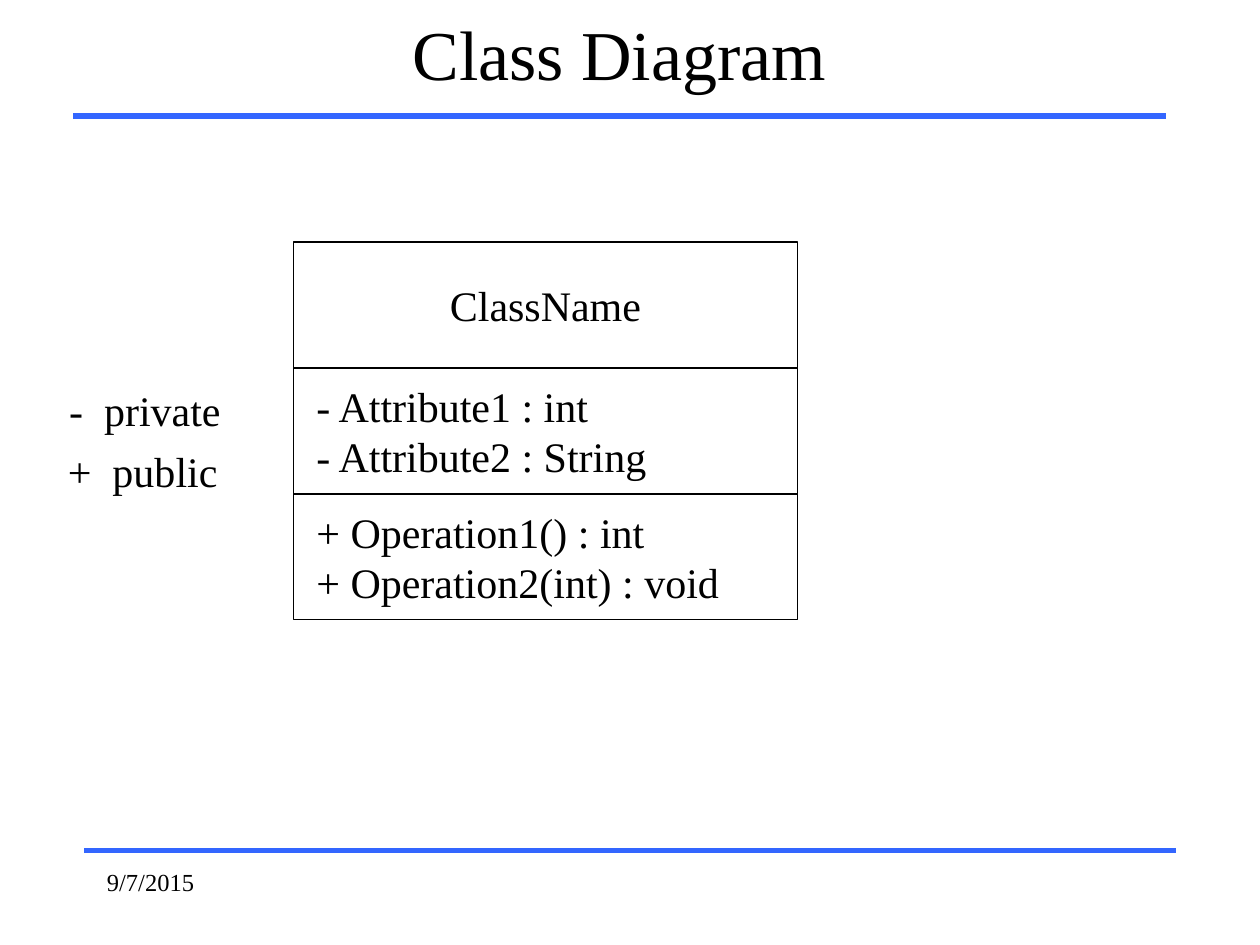
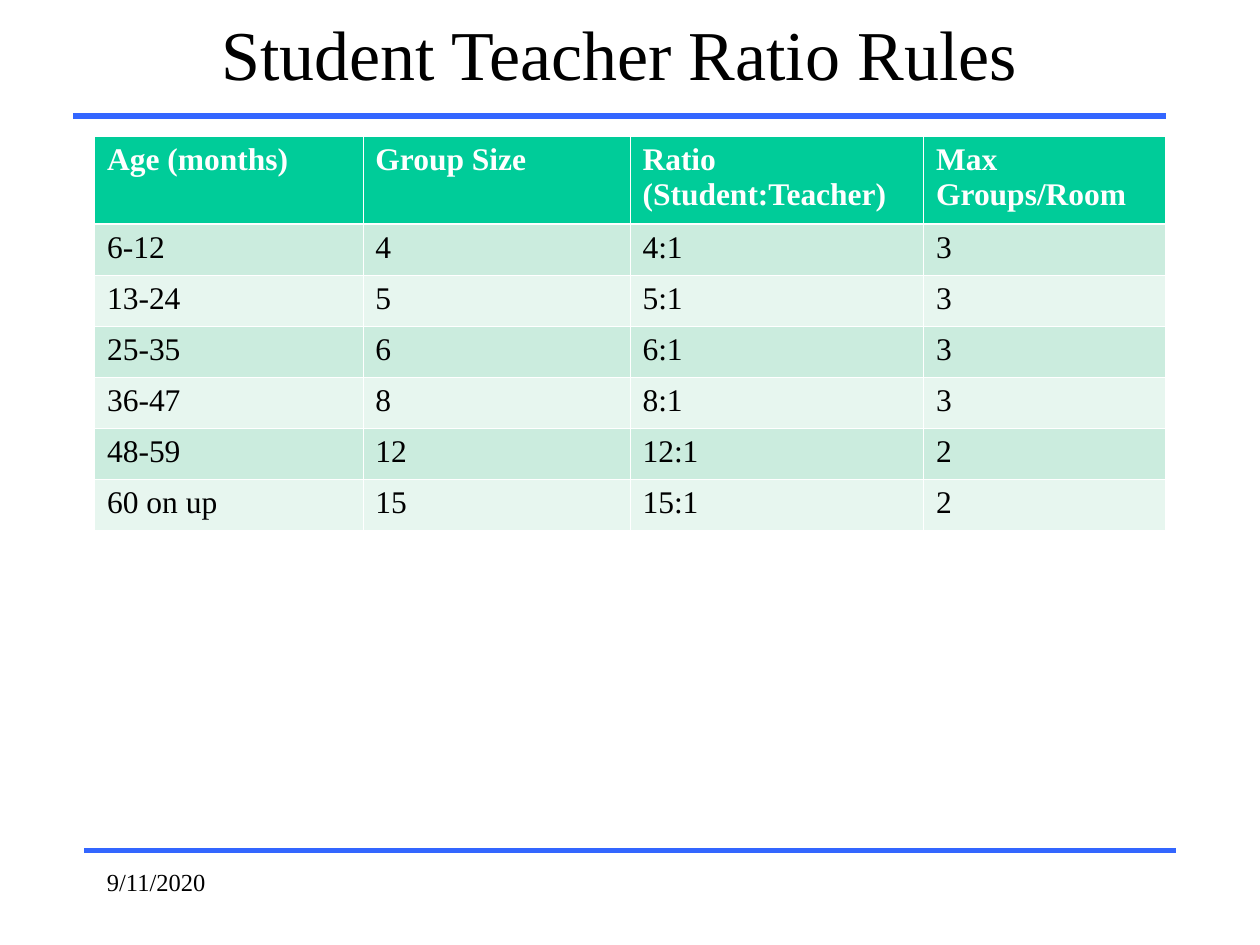
import dataclasses

import lxml.etree
import pptx
import pptx.dml.color
import pptx.enum.shapes
import pptx.enum.text
import pptx.oxml.ns
import pptx.util

Inches = pptx.util.Inches
Align = pptx.enum.text.PP_ALIGN
Anchor = pptx.enum.text.MSO_ANCHOR


@dataclasses.dataclass(frozen=True)
class Theme:
    font: str = "Times New Roman"
    ink: str = "000000"
    paper: str = "FFFFFF"
    rule: str = "3366FF"
    header: str = "00CC99"
    bands: tuple = ("CBECDE", "E7F6EF")
    title_size: int = 40
    diagram_size: int = 24
    table_size: int = 18
    date_size: int = 14
    rule_width: float = 3
    box_line: float = 0.75
    grid_line: float = 0.45
    header_line: float = 1.47


THEME = Theme()
TITLE_ONLY = 5

CLASS_COMPARTMENTS = [
    ("ClassName", Align.CENTER),
    (" - Attribute1 : int\n - Attribute2 : String", Align.LEFT),
    (" + Operation1() : int\n + Operation2(int) : void", Align.LEFT),
]

RATIO_COLUMNS = [2.13, 2.12, 2.33, 1.92]
RATIO_HEADER_HEIGHT = 0.7
RATIO_ROW_HEIGHT = 0.405
RATIO_ROWS = [
    ("Age (months)", "Group Size", "Ratio (Student:Teacher)", "Max Groups/Room"),
    ("6-12", "4", "4:1", "3"),
    ("13-24", "5", "5:1", "3"),
    ("25-35", "6", "6:1", "3"),
    ("36-47", "8", "8:1", "3"),
    ("48-59", "12", "12:1", "2"),
    ("60 on up", "15", "15:1", "2"),
]


def rgb(code):
    return pptx.dml.color.RGBColor.from_string(code)


def set_text(frame, text, size, color=THEME.ink, bold=False, align=Align.LEFT):
    frame.text = text
    for paragraph in frame.paragraphs:
        paragraph.alignment = align
        for run in paragraph.runs:
            run.font.name = THEME.font
            run.font.size = pptx.util.Pt(size)
            run.font.bold = bold
            run.font.color.rgb = rgb(color)


def add_rule(slide, left, right, y):
    rule = slide.shapes.add_connector(
        pptx.enum.shapes.MSO_CONNECTOR.STRAIGHT,
        Inches(left), Inches(y), Inches(right), Inches(y))
    rule.line.color.rgb = rgb(THEME.rule)
    rule.line.width = pptx.util.Pt(THEME.rule_width)
    properties = rule._element.spPr
    lxml.etree.SubElement(properties, pptx.oxml.ns.qn("a:effectLst"))


def add_label(slide, text, left, top, width, size, wrap=False):
    label = slide.shapes.add_textbox(
        Inches(left), Inches(top), Inches(width), Inches(0.5))
    label.text_frame.word_wrap = wrap
    set_text(label.text_frame, text, size)


def add_framed_slide(presentation, title_text, date):
    """Add a slide with its title, the two blue rules and the date."""
    slide = presentation.slides.add_slide(presentation.slide_layouts[TITLE_ONLY])
    add_rule(slide, 0.67, 9.33, 6.75)
    add_rule(slide, 0.58, 9.25, 0.92)
    title = slide.shapes.title
    title.left, title.top = Inches(0.58), Inches(0)
    title.width, title.height = Inches(8.67), Inches(0.83)
    title.text_frame.vertical_anchor = Anchor.MIDDLE
    set_text(title.text_frame, title_text, THEME.title_size, align=Align.CENTER)
    add_label(slide, date, 0.75, 6.83, 2.08, THEME.date_size, wrap=True)
    return slide


def add_compartment(slide, text, align, top):
    compartment = slide.shapes.add_shape(
        pptx.enum.shapes.MSO_SHAPE.RECTANGLE,
        Inches(2.33), Inches(top), Inches(4), Inches(1))
    compartment.shadow.inherit = False
    compartment.fill.solid()
    compartment.fill.fore_color.rgb = rgb(THEME.paper)
    compartment.line.color.rgb = rgb(THEME.ink)
    compartment.line.width = pptx.util.Pt(THEME.box_line)
    compartment.text_frame.vertical_anchor = Anchor.MIDDLE
    set_text(compartment.text_frame, text, THEME.diagram_size, align=align)


def set_borders(cell, top, bottom):
    """Draw the cell's borders; call before filling, as XML order matters."""
    qn = pptx.oxml.ns.qn
    properties = cell._tc.get_or_add_tcPr()
    widths = {"lnL": THEME.grid_line, "lnR": THEME.grid_line,
              "lnT": top, "lnB": bottom}
    for side, width in widths.items():
        border = lxml.etree.SubElement(
            properties, qn(f"a:{side}"), w=str(int(pptx.util.Pt(width))))
        fill = lxml.etree.SubElement(border, qn("a:solidFill"))
        lxml.etree.SubElement(fill, qn("a:srgbClr"), val=THEME.paper)


def format_cell(cell, text, row):
    is_header = row == 0
    set_borders(
        cell,
        top=THEME.header_line if row == 1 else THEME.grid_line,
        bottom=THEME.header_line if is_header else THEME.grid_line)
    cell.fill.solid()
    cell.fill.fore_color.rgb = rgb(
        THEME.header if is_header else THEME.bands[(row - 1) % 2])
    set_text(cell.text_frame, text, THEME.table_size,
             color=THEME.paper if is_header else THEME.ink, bold=is_header)


def add_ratio_table(slide):
    heights = [RATIO_HEADER_HEIGHT] + [RATIO_ROW_HEIGHT] * (len(RATIO_ROWS) - 1)
    table = slide.shapes.add_table(
        len(RATIO_ROWS), len(RATIO_COLUMNS), Inches(0.75), Inches(1.08),
        Inches(sum(RATIO_COLUMNS)), Inches(sum(heights))).table
    for column, width in zip(table.columns, RATIO_COLUMNS):
        column.width = Inches(width)
    for index, (values, height) in enumerate(zip(RATIO_ROWS, heights)):
        table.rows[index].height = Inches(height)
        for cell, value in zip(table.rows[index].cells, values):
            format_cell(cell, value, index)


def build_class_diagram(presentation):
    slide = add_framed_slide(presentation, "Class Diagram", "9/7/2015")
    for index, (text, align) in enumerate(CLASS_COMPARTMENTS):
        add_compartment(slide, text, align, 1.92 + index)
    add_label(slide, "-  private", 0.45, 3, 1.4, THEME.diagram_size)
    add_label(slide, "+  public", 0.44, 3.49, 1.39, THEME.diagram_size)


def build_ratio_rules(presentation):
    slide = add_framed_slide(
        presentation, "Student Teacher Ratio Rules", "9/11/2020")
    add_ratio_table(slide)


def main():
    presentation = pptx.Presentation()
    presentation.slide_width = Inches(10)
    presentation.slide_height = Inches(7.5)
    build_class_diagram(presentation)
    build_ratio_rules(presentation)
    presentation.save("out.pptx")


if __name__ == "__main__":
    main()
